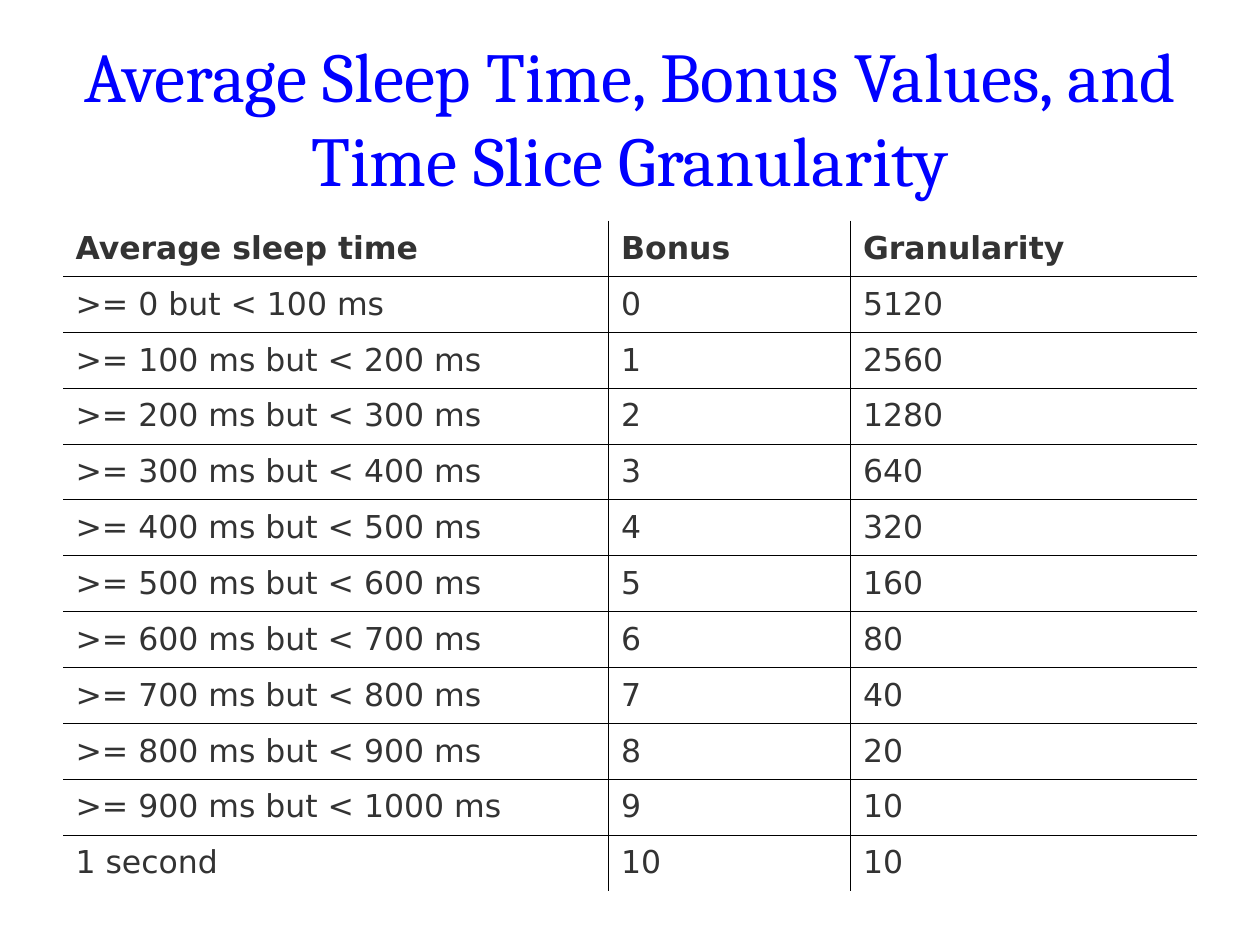
from dataclasses import dataclass

from lxml import etree
from pptx import Presentation
from pptx.dml.color import RGBColor
from pptx.enum.text import MSO_ANCHOR, MSO_AUTO_SIZE, PP_ALIGN
from pptx.oxml.ns import qn
from pptx.util import Inches, Pt

MIDDLE = MSO_ANCHOR.MIDDLE
CENTER = PP_ALIGN.CENTER
LEFT = PP_ALIGN.LEFT
NO_AUTOFIT = MSO_AUTO_SIZE.NONE
TITLE_ONLY = 5


@dataclass(frozen=True)
class Theme:
    title_font: str = "Cambria"
    table_font: str = "DejaVu Sans"
    title_size: float = 40
    table_size: float = 18
    title_color: str = "0000FF"
    table_color: str = "333333"
    rule_color: str = "000000"
    rule_width: float = 0.45


@dataclass(frozen=True)
class SleepBand:
    sleep_time: str
    bonus: int
    granularity: int

    def texts(self) -> list[str]:
        return [self.sleep_time, str(self.bonus), str(self.granularity)]


THEME = Theme()
TITLE = "Average Sleep Time, Bonus Values, and Time Slice Granularity"
HEADER = ["Average sleep time", "Bonus", "Granularity"]
GRANULARITIES = [5120, 2560, 1280, 640, 320, 160, 80, 40, 20, 10, 10]
COLUMN_WIDTHS = [4.33, 1.92, 2.75]
TABLE_HEIGHT = 5.32
HANGING_INDENT = 0.38


def sleep_label(bonus: int) -> str:
    if bonus == 10:
        return "1 second"
    low = f"{bonus * 100} ms" if bonus else "0"
    return f">= {low} but < {(bonus + 1) * 100} ms"


def format_font(font, name: str, size: float, color: str, bold: bool = False) -> None:
    for attr, value in {"name": name, "size": Pt(size), "bold": bold}.items():
        setattr(font, attr, value)
    font.color.rgb = RGBColor.from_string(color)


def set_borders(cell, sides: dict[str, bool]) -> None:
    """Rule the sides marked True and clear the others."""
    tc_pr = cell._tc.get_or_add_tcPr()
    for side, ruled in sides.items():
        ln = etree.SubElement(tc_pr, qn(f"a:ln{side}"), w=str(Pt(THEME.rule_width)))
        if ruled:
            fill = etree.SubElement(ln, qn("a:solidFill"))
            etree.SubElement(fill, qn("a:srgbClr"), val=THEME.rule_color)
        else:
            etree.SubElement(ln, qn("a:noFill"))


def fill_cell(cell, text: str, bold: bool) -> None:
    cell.fill.background()
    cell.vertical_anchor = MIDDLE
    p = cell.text_frame.paragraphs[0]
    p.alignment = LEFT
    p_pr = p._p.get_or_add_pPr()
    p_pr.set("marL", str(Inches(HANGING_INDENT)))
    p_pr.set("indent", str(-Inches(HANGING_INDENT)))
    r = p.add_run()
    r.text = text
    format_font(r.font, THEME.table_font, THEME.table_size, THEME.table_color, bold)


def add_title(s) -> None:
    sp = s.shapes.title
    box = {"left": 0.5, "top": 0.3, "width": 9, "height": 1.25}
    for attr, value in box.items():
        setattr(sp, attr, Inches(value))
    tf = sp.text_frame
    for attr, value in {"word_wrap": True, "auto_size": NO_AUTOFIT,
                        "vertical_anchor": MIDDLE}.items():
        setattr(tf, attr, value)
    p = tf.paragraphs[0]
    p.alignment = CENTER
    r = p.add_run()
    r.text = TITLE
    format_font(r.font, THEME.title_font, THEME.title_size, THEME.title_color)


def add_grid(s, rows: list[list[str]]) -> None:
    """Add a table ruled on its inner edges only."""
    last_row, last_col = len(rows) - 1, len(COLUMN_WIDTHS) - 1
    table = s.shapes.add_table(
        len(rows), len(COLUMN_WIDTHS), Inches(0.5), Inches(1.75),
        Inches(sum(COLUMN_WIDTHS)), Inches(TABLE_HEIGHT)).table
    table.first_row = table.horz_banding = False
    for column, width in zip(table.columns, COLUMN_WIDTHS):
        column.width = Inches(width)
    for i, texts in enumerate(rows):
        table.rows[i].height = Inches(TABLE_HEIGHT / len(rows))
        for j, text in enumerate(texts):
            cell = table.cell(i, j)
            set_borders(cell, {"L": j > 0, "R": j < last_col,
                               "T": i > 0, "B": i < last_row})
            fill_cell(cell, text, bold=i == 0)


def main() -> None:
    prs = Presentation()
    prs.slide_width, prs.slide_height = Inches(10), Inches(7.5)
    s = prs.slides.add_slide(prs.slide_layouts[TITLE_ONLY])
    add_title(s)
    bands = [SleepBand(sleep_label(bonus), bonus, granularity)
             for bonus, granularity in enumerate(GRANULARITIES)]
    add_grid(s, [HEADER] + [band.texts() for band in bands])
    prs.save("out.pptx")


if __name__ == "__main__":
    main()
